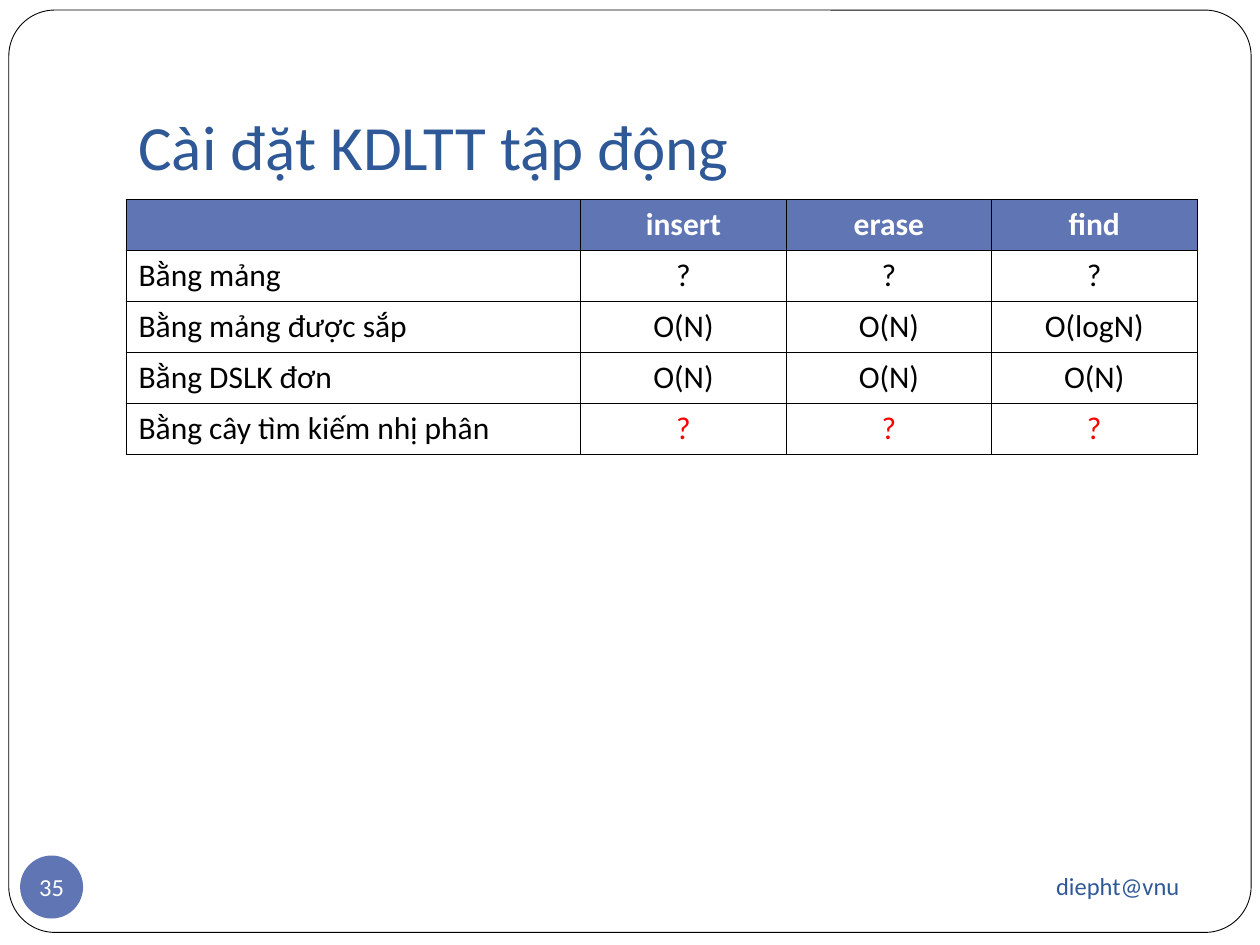
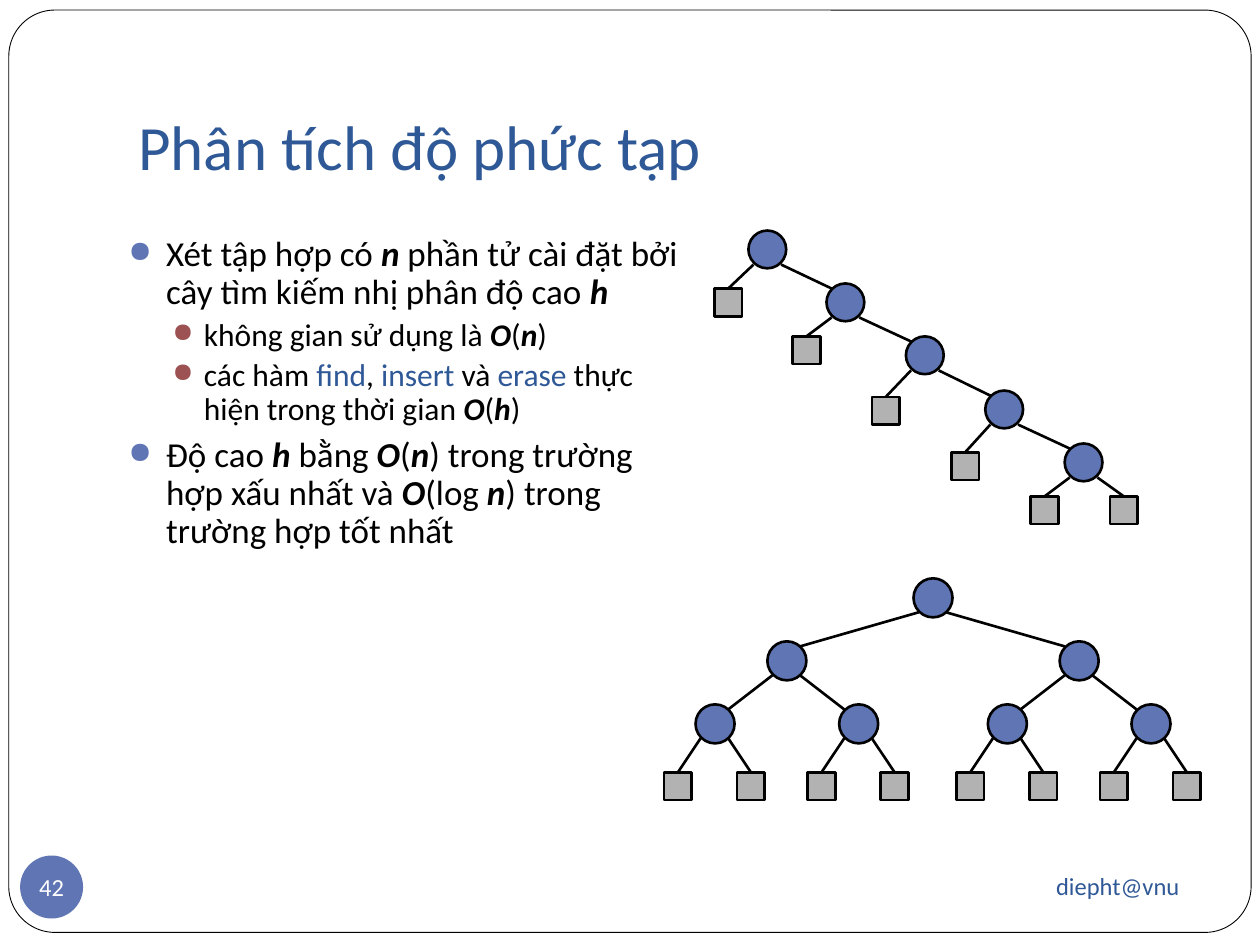
from lxml import etree
from pptx import Presentation
from pptx.dml.color import RGBColor
from pptx.enum.shapes import MSO_CONNECTOR as Link, MSO_SHAPE as Form
from pptx.enum.text import MSO_ANCHOR as Anchor, PP_ALIGN as Align
from pptx.oxml.ns import qn
from pptx.util import Pt

SCALE = 9144
FONT = "Calibri"
HUES = {
    "paper": "FFFFFF", "ink": "000000", "title": "2F5897", "accent": "6076B4",
    "sub": "9C5252", "leaf": "B2B2B2", "alert": "FF0000",
}
LEVELS = [
    {"size": 20, "left": 30, "hang": 30, "gap": 5.8, "hue": "accent"},
    {"size": 18, "left": 60, "hang": 25, "gap": 3.7, "hue": "sub"},
]


def px(n):
    """Turn px into EMU."""
    return round(n * SCALE)


def rgb(hue):
    """Look up a colour by name."""
    return RGBColor.from_string(HUES[hue])


def child(node, tag, **attrs):
    """Append a drawing element."""
    return etree.SubElement(node, qn(tag), attrs)


class Deck:
    """Hold the style and the current slide."""

    def __init__(self):
        """Open an empty deck."""
        self.prs = Presentation()
        self.prs.slide_width, self.prs.slide_height = px(1000), px(750)

    def page(self, title, number):
        """Start a slide with its frame, title and footer."""
        self.slide = self.prs.slides.add_slide(self.prs.slide_layouts[6])
        self.shapes = self.slide.shapes
        frame = self.shape(Form.ROUNDED_RECTANGLE, 7, 8, 986, 732, "paper", 0.5)
        frame.adjustments[0] = 0.05
        head = self.box(100, 30, 850, 125, Anchor.BOTTOM)
        head.margin_bottom = px(10)
        self.text(head.paragraphs[0], title, 36, "title")
        foot = self.box(675, 677, 271, 52, Anchor.MIDDLE)
        self.text(foot.paragraphs[0], "diepht@vnu", 14, "title", Align.RIGHT)
        badge = self.shape(Form.OVAL, 16, 679, 50, 50, "accent").text_frame
        badge.margin_left = badge.margin_right = 0
        badge.margin_top = badge.margin_bottom = 0
        badge.vertical_anchor, badge.word_wrap = Anchor.MIDDLE, False
        self.text(badge.paragraphs[0], str(number), 14, "paper", Align.CENTER)

    def shape(self, form, x, y, w, h, fill, line=0):
        """Draw a preset shape."""
        item = self.shapes.add_shape(form, px(x), px(y), px(w), px(h))
        item.shadow.inherit = False
        item.fill.solid()
        item.fill.fore_color.rgb = rgb(fill)
        if line:
            item.line.color.rgb, item.line.width = rgb("ink"), Pt(line)
        else:
            item.line.fill.background()
        return item

    def box(self, x, y, w, h, anchor=Anchor.TOP):
        """Add a wrapping text box and return its frame."""
        frame = self.shapes.add_textbox(px(x), px(y), px(w), px(h)).text_frame
        frame.word_wrap, frame.vertical_anchor = True, anchor
        return frame

    def text(self, para, words, size, hue, align=Align.LEFT, bold=False):
        """Fill a paragraph; '|' parts runs, '*' marks symbols, '^' names."""
        para.alignment = align
        font = para.font
        font.name, font.size, font.bold = FONT, Pt(size), bold
        font.color.rgb = rgb(hue)
        for part in words.split("|"):
            run = para.add_run()
            run.text = part.lstrip("*^")
            if part.startswith("*"):
                run.font.bold = run.font.italic = True
            elif part.startswith("^"):
                run.font.color.rgb = rgb("title")

    def bullets(self, x, y, w, h, items):
        """Write a list of (level, words) bullets."""
        frame = self.box(x, y, w, h)
        for i, (level, words) in enumerate(items):
            look = LEVELS[level]
            para = frame.add_paragraph() if i else frame.paragraphs[0]
            para.level = level
            props = para._p.get_or_add_pPr()
            props.set("marL", str(px(look["left"])))
            props.set("indent", str(-px(look["hang"])))
            child(child(props, "a:buClr"), "a:srgbClr", val=HUES[look["hue"]])
            child(props, "a:buSzPct", val="85000")
            child(props, "a:buChar", char="●")
            para.line_spacing = 0.9
            if i:
                para.space_before = Pt(look["gap"])
            self.text(para, words, look["size"], "ink")

    def table(self, x, y, widths, height, rows):
        """Draw a ruled table with a header row and an alert last row."""
        grid = self.shapes.add_table(
            len(rows), len(widths), px(x), px(y), px(sum(widths)), px(height)).table
        for col, width in zip(grid.columns, widths):
            col.width = px(width)
        for r, row in enumerate(rows):
            for c, words in enumerate(row):
                cell = grid.cell(r, c)
                self.rule(cell)
                if r:
                    cell.fill.background()
                else:
                    cell.fill.solid()
                    cell.fill.fore_color.rgb = rgb("accent")
                last = r == len(rows) - 1
                hue = "paper" if r == 0 else "alert" if last and c else "ink"
                align = Align.CENTER if c else Align.LEFT
                self.text(cell.text_frame.paragraphs[0], words, 18, hue, align, r == 0)

    def rule(self, cell):
        """Put a thin line on each side of a cell."""
        props = cell._tc.get_or_add_tcPr()
        for side in "LRTB":
            line = child(props, "a:ln" + side, w=str(Pt(0.45)))
            child(child(line, "a:solidFill"), "a:srgbClr", val=HUES["ink"])

    def edge(self, *ends):
        """Draw a straight line between two points."""
        line = self.shapes.add_connector(Link.STRAIGHT, *map(px, ends))
        line.line.color.rgb, line.line.width = rgb("ink"), Pt(1.5)
        child(line._element.spPr, "a:effectLst")

    def tree(self, node, size):
        """Draw a tree of (x, y, *kids) nodes; a node without kids is a leaf."""
        x, y, *kids = node
        if not kids:
            self.shape(Form.RECTANGLE, x - 11, y - 11, 22, 22, "leaf", 1.5)
            return
        for kid in kids:
            kx, ky, *more = kid
            side = 11 if kx > x else -11
            end = (kx - side, ky - 11) if more else (kx, ky - 11)
            self.edge(x + side, y + 12, *end)
            self.tree(kid, size)
        self.shape(Form.OVAL, x - 15, y - 15, size, size, "accent", 1.5)


def skewed():
    """Build the worst-case tree from its lowest node up."""
    node = (860, 367, (829, 405), (892, 405))
    for x, y, low in [(797, 325, 370), (734, 282, 326), (671, 240, 278), (609, 198, 240)]:
        node = (x, y, (x - 31, low), node)
    return node


def full(x, y, gaps):
    """Build a balanced tree, one level for each gap."""
    if not gaps:
        return x, y
    gap, *rest = gaps
    return x, y, full(x - gap, y + 50, rest), full(x + gap, y + 50, rest)


def main():
    """Build both slides."""
    deck = Deck()
    deck.page("Cài đặt KDLTT tập động", 35)
    deck.table(100, 158, [361, 163, 163, 163], 203, [
        ["", "insert", "erase", "find"],
        ["Bằng mảng", "?", "?", "?"],
        ["Bằng mảng được sắp", "O(N)", "O(N)", "O(logN)"],
        ["Bằng DSLK đơn", "O(N)", "O(N)", "O(N)"],
        ["Bằng cây tìm kiếm nhị phân", "?", "?", "?"],
    ])
    deck.page("Phân tích độ phức tạp", 42)
    deck.bullets(92, 183, 456, 500, [
        (0, "Xét tập hợp có |*n| phần tử cài đặt bởi cây tìm kiếm nhị phân độ cao |*h"),
        (1, "không gian sử dụng là |*O|(|*n|)"),
        (1, "các hàm |^find|, |^insert| và |^erase| thực hiện trong thời gian |*O|(|*h|)"),
        (0, "Độ cao |*h| bằng |*O|(|*n|) trong trường hợp xấu nhất và "
            "|*O|(log |*n|) trong trường hợp tốt nhất"),
    ])
    deck.tree(skewed(), 30)
    deck.tree(full(740, 474, [116, 57, 29]), 31)
    deck.prs.save("out.pptx")


if __name__ == "__main__":
    main()
